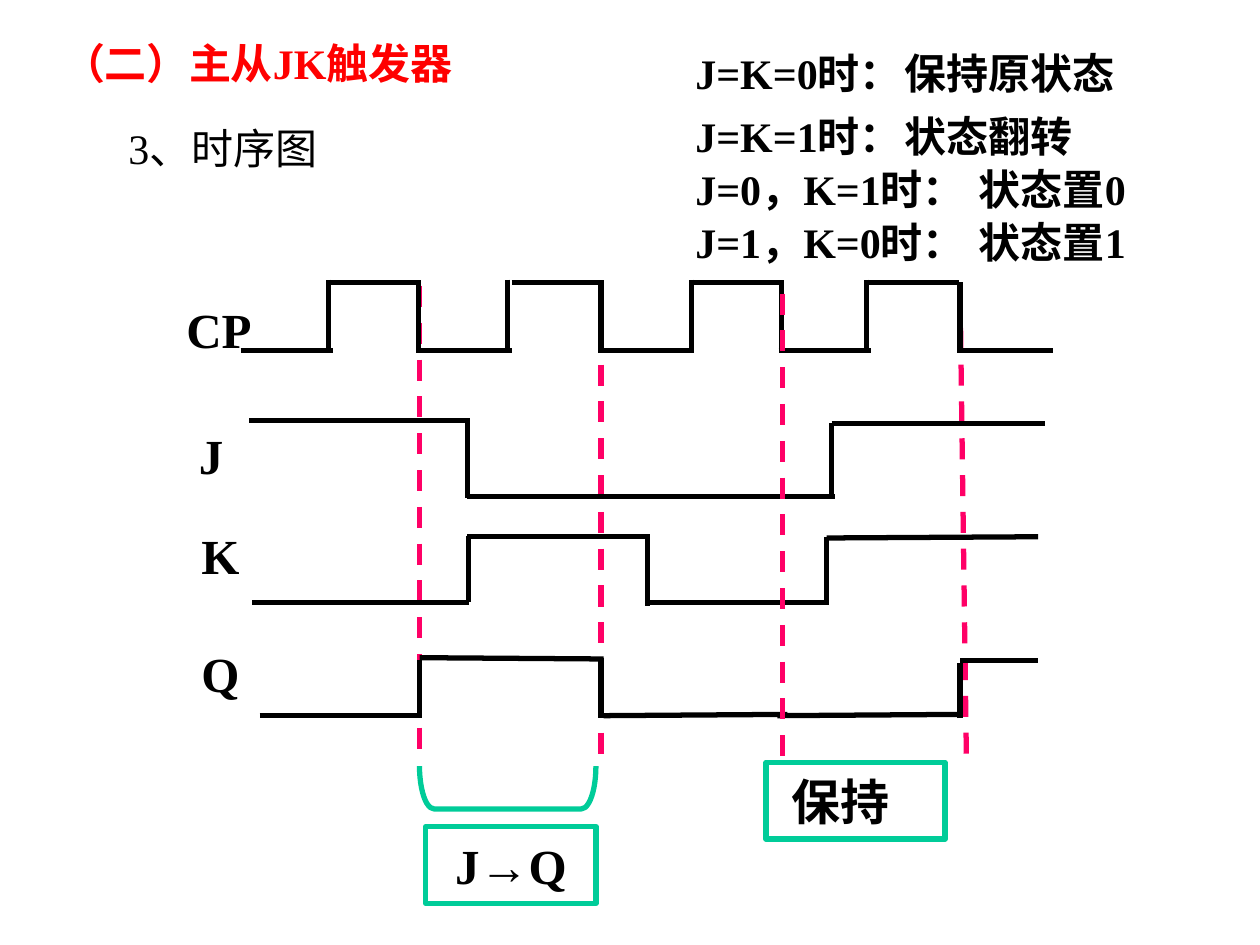
"""Build the timing diagram slide for the master-slave JK flip-flop."""
import pptx
import pptx.dml.color
import pptx.enum.dml
import pptx.enum.shapes
import pptx.enum.text
import pptx.oxml
import pptx.oxml.ns
import pptx.util

Inches = pptx.util.Inches
BLACK = pptx.dml.color.RGBColor(0x00, 0x00, 0x00)
RED = pptx.dml.color.RGBColor(0xFF, 0x00, 0x00)
PINK = pptx.dml.color.RGBColor(0xFF, 0x00, 0x66)
GREEN = pptx.dml.color.RGBColor(0x00, 0xCC, 0x99)
LEFT = pptx.enum.text.PP_ALIGN.LEFT
CENTER = pptx.enum.text.PP_ALIGN.CENTER
TOP = pptx.enum.text.MSO_ANCHOR.TOP
MIDDLE = pptx.enum.text.MSO_ANCHOR.MIDDLE

prs = pptx.Presentation()
prs.slide_width, prs.slide_height = Inches(10), Inches(7.5)
slide = prs.slides.add_slide(prs.slide_layouts[5])
shapes = slide.shapes


def write(text, box=None, holder=None, size=24, color=BLACK, bold=True,
          align=LEFT, anchor=TOP, margin_left=0.1):
    holder = holder or shapes.add_textbox(*map(Inches, box))
    frame = holder.text_frame
    frame.word_wrap = True
    frame.auto_size = pptx.enum.text.MSO_AUTO_SIZE.SHAPE_TO_FIT_TEXT
    frame.vertical_anchor = anchor
    frame.margin_left, frame.margin_right = Inches(margin_left), Inches(0.1)
    frame.margin_top = frame.margin_bottom = Inches(0.05)
    frame.text = text
    paragraph = frame.paragraphs[0]
    paragraph.alignment = align
    font = paragraph.runs[0].font
    font.name, font.size, font.bold = "Times New Roman", pptx.util.Pt(size), bold
    font.color.rgb = color


def draw_line(x1, y1, x2, y2, color=BLACK, dashed=False):
    connector = shapes.add_connector(
        pptx.enum.shapes.MSO_CONNECTOR.STRAIGHT, *map(Inches, (x1, y1, x2, y2)))
    connector.line.color.rgb = color
    connector.line.width = pptx.util.Pt(3)
    if dashed:
        connector.line.dash_style = pptx.enum.dml.MSO_LINE.DASH
    connector._element.spPr.append(
        pptx.oxml.parse_xml(f"<a:effectLst {pptx.oxml.ns.nsdecls('a')}/>"))


heading = shapes.title
heading.left, heading.top = Inches(0.4), Inches(0.25)
heading.width, heading.height = Inches(3.6), Inches(0.5)
write("（二）主从JK触发器", holder=heading, color=RED)
write("3、时序图", (0.92, 0.92, 2.23, 0.5), bold=False)

for condition, result, top, result_left, result_width in [
    ("J=K=0时：", "保持原状态", 0.33, 7.08, 2.31),
    ("J=K=1时：", "状态翻转", 0.83, 7.08, 2.31),
    ("J=0，K=1时：", "状态置0", 1.25, 7.67, 1.58),
    ("J=1，K=0时：", "状态置1", 1.67, 7.67, 1.58),
]:
    write(condition, (5.42, top, 2.31, 0.5))
    write(result, (result_left, top, result_width, 0.5))

for signal, left, top, width in [
    ("CP", 1.38, 2.33, 1.08),
    ("J", 1.48, 3.33, 1.04),
    ("K", 1.5, 4.12, 0.92),
    ("Q", 1.5, 5.06, 0.9),
]:
    write(signal, (left, top, width, 0.57), size=28)

for falling_edge in [
    (3.33, 2.27, 3.33, 6),
    (4.77, 2.31, 4.77, 6.04),
    (7.62, 2.31, 7.67, 6),
]:
    draw_line(*falling_edge, color=PINK, dashed=True)

clock_high, clock_low, half_period = 2.24, 2.78, 0.73
for low_start in (1.91, 3.33, 4.78, 6.18, 7.63):
    draw_line(low_start, clock_low, low_start + half_period, clock_low)
for rise, high_start, fall in [
    (2.61, 2.61, 3.32), (4.03, 4.06, 4.77), (5.49, 5.49, 6.2), (6.88, 6.88, 7.62),
]:
    draw_line(rise, 2.22, rise, clock_low)
    draw_line(high_start, clock_high, high_start + half_period, clock_high)
    draw_line(fall, clock_high, fall, 2.8)

j_wave = [
    (1.98, 3.34, 3.73, 3.34),
    (3.71, 3.36, 3.71, 3.95),
    (3.71, 3.94, 6.63, 3.94),
    (6.6, 3.36, 6.6, 3.95),
    (6.6, 3.36, 8.29, 3.36),
]
k_wave = [
    (2, 4.78, 3.72, 4.78),
    (3.72, 4.25, 3.72, 4.78),
    (3.71, 4.26, 5.16, 4.26),
    (5.14, 4.27, 5.14, 4.81),
    (5.13, 4.78, 6.58, 4.78),
    (6.56, 4.26, 6.56, 4.8),
    (6.56, 4.27, 8.24, 4.26),
]
q_wave = [
    (2.06, 5.68, 3.35, 5.68),
    (3.33, 5.68, 3.33, 5.24),
    (3.33, 5.22, 4.79, 5.23),
    (4.77, 5.22, 4.77, 5.7),
    (4.79, 5.68, 6.25, 5.67),
    (6.17, 5.68, 7.63, 5.67),
    (7.62, 5.7, 7.62, 5.26),
    (7.62, 5.24, 8.24, 5.24),
]
for segment in j_wave + k_wave + q_wave:
    draw_line(*segment)
draw_line(6.21, 2.33, 6.21, 6.06, color=PINK, dashed=True)

preset = pptx.enum.shapes.MSO_SHAPE
transfer_bracket = shapes.add_shape(
    preset.LEFT_BRACKET, *map(Inches, (3.86, 5.55, 0.34, 1.4)))
transfer_bracket.rotation = 270
transfer_bracket.adjustments[0] = 0.34
transfer_note = shapes.add_shape(
    preset.RECTANGLE, *map(Inches, (3.38, 6.56, 1.35, 0.61)))
hold_note = shapes.add_shape(
    preset.RECTANGLE, *map(Inches, (6.08, 6.05, 1.42, 0.61)))
for outline in (transfer_bracket, transfer_note, hold_note):
    outline.shadow.inherit = False
    outline.fill.background()
    outline.line.color.rgb = GREEN
    outline.line.width = pptx.util.Pt(3)
write("J→Q", holder=transfer_note, size=28, align=CENTER, anchor=MIDDLE)
write("保持", holder=hold_note, size=28, anchor=MIDDLE, margin_left=0.2)

prs.save("out.pptx")
